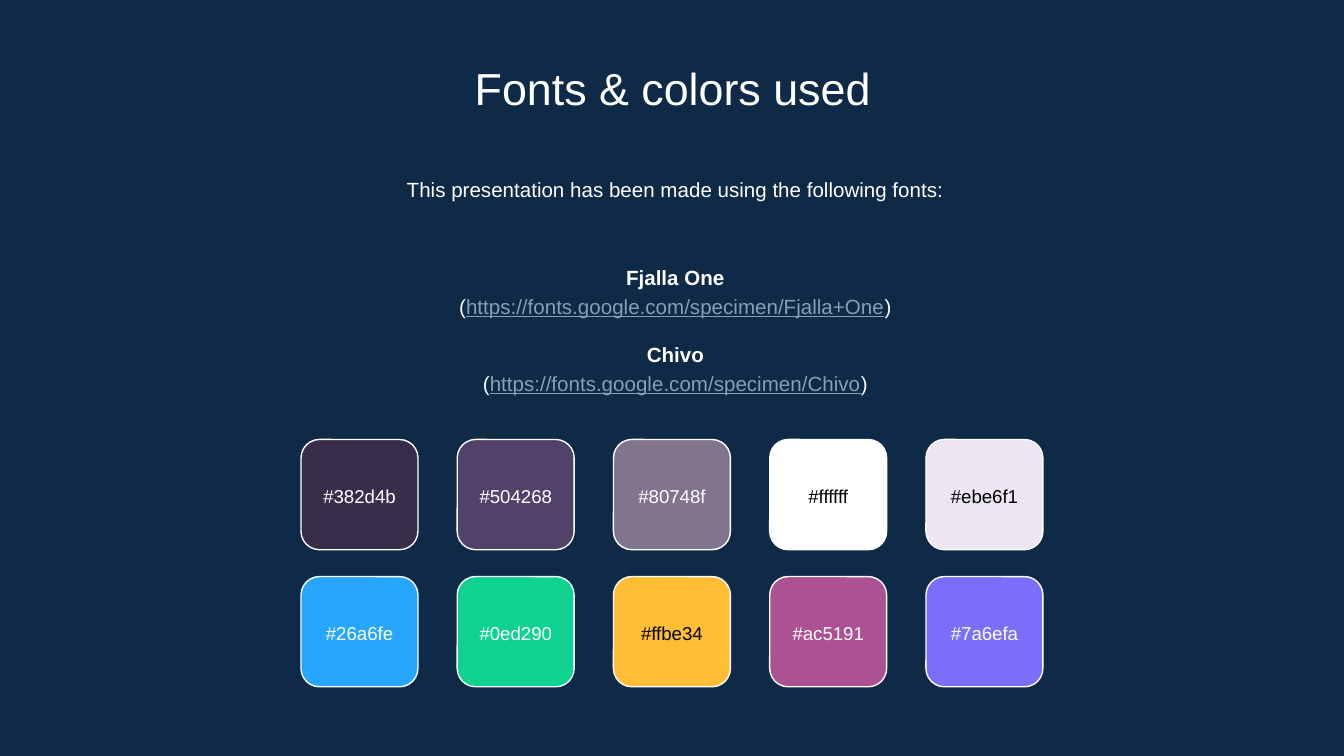
from pptx import Presentation
from pptx.dml.color import RGBColor
from pptx.enum import shapes, text
from pptx.util import Inches, Pt

FONT = "Arial"
BACKGROUND = "0E2A47"
WHITE = "FFFFFF"
BLACK = "000000"
LINK = "869FB2"

PALETTE = [
    [("382d4b", WHITE), ("504268", WHITE), ("80748f", WHITE), ("ffffff", BLACK), ("ebe6f1", BLACK)],
    [("26a6fe", WHITE), ("0ed290", WHITE), ("ffbe34", BLACK), ("ac5191", WHITE), ("7a6efa", WHITE)],
]
GRID_LEFT, GRID_RIGHT = 2.24, 7.76
GRID_TOP, ROW_PITCH = 3.27, 1.02
SWATCH_WIDTH, SWATCH_HEIGHT = 0.87, 0.82

FONTS_USED = [
    ("Fjalla One", "https://fonts.google.com/specimen/Fjalla+One"),
    ("Chivo", "https://fonts.google.com/specimen/Chivo"),
]


def paint(color_format, hex_code):
    color_format.rgb = RGBColor.from_string(hex_code.upper())


def set_frame(frame, anchor):
    frame.word_wrap = True
    frame.auto_size = text.MSO_AUTO_SIZE.NONE
    frame.vertical_anchor = anchor
    frame.margin_left = frame.margin_right = Inches(0.1)
    frame.margin_top = frame.margin_bottom = Inches(0.1)


def style_paragraph(paragraph, size, color=WHITE, bold=False, spacing=1.15):
    paragraph.alignment = text.PP_ALIGN.CENTER
    paragraph.line_spacing = spacing
    paragraph.font.name = FONT
    paragraph.font.size = Pt(size)
    paragraph.font.bold = bold
    paint(paragraph.font.color, color)


def add_title(slide, wording):
    title = slide.shapes.title
    title.left, title.top = Inches(1.15), Inches(0.35)
    title.width, title.height = Inches(7.71), Inches(0.53)
    set_frame(title.text_frame, text.MSO_ANCHOR.TOP)
    title.text_frame.text = wording
    style_paragraph(title.text_frame.paragraphs[0], 24, spacing=1.0)


def add_text_frame(slide, top, height, anchor):
    box = slide.shapes.add_textbox(Inches(1.17), Inches(top), Inches(7.71), Inches(height))
    set_frame(box.text_frame, anchor)
    return box.text_frame


def add_intro(slide, wording):
    frame = add_text_frame(slide, 1.19, 0.48, text.MSO_ANCHOR.TOP)
    frame.text = wording
    style_paragraph(frame.paragraphs[0], 11)


def add_font_list(slide):
    frame = add_text_frame(slide, 1.76, 1.37, text.MSO_ANCHOR.MIDDLE)
    for index, (font_name, address) in enumerate(FONTS_USED):
        heading = frame.add_paragraph() if index else frame.paragraphs[0]
        heading.text = font_name
        style_paragraph(heading, 11, bold=True)
        if index:
            heading.space_before = Pt(11)

        source = frame.add_paragraph()
        style_paragraph(source, 11)
        for part in ("(", address, ")"):
            run = source.add_run()
            run.text = part
            paint(run.font.color, LINK if part == address else WHITE)
            run.font.underline = part == address


def add_swatch(slide, left, top, fill, label_color):
    swatch = slide.shapes.add_shape(
        shapes.MSO_SHAPE.ROUNDED_RECTANGLE,
        Inches(left), Inches(top), Inches(SWATCH_WIDTH), Inches(SWATCH_HEIGHT),
    )
    swatch.adjustments[0] = 0.167
    swatch.shadow.inherit = False
    swatch.fill.solid()
    paint(swatch.fill.fore_color, fill)
    paint(swatch.line.color, WHITE)
    swatch.line.width = Pt(0.75)
    set_frame(swatch.text_frame, text.MSO_ANCHOR.MIDDLE)
    swatch.text_frame.text = f"#{fill}"
    style_paragraph(swatch.text_frame.paragraphs[0], 10, label_color)


def add_palette(slide):
    for row, swatches in enumerate(PALETTE):
        pitch = (GRID_RIGHT - GRID_LEFT - SWATCH_WIDTH) / (len(swatches) - 1)
        for column, (fill, label_color) in enumerate(swatches):
            add_swatch(slide, GRID_LEFT + column * pitch, GRID_TOP + row * ROW_PITCH, fill, label_color)


def main():
    deck = Presentation()
    deck.slide_width, deck.slide_height = Inches(10), Inches(10 * 9 / 16)
    slide = deck.slides.add_slide(deck.slide_layouts[5])
    slide.background.fill.solid()
    paint(slide.background.fill.fore_color, BACKGROUND)
    add_title(slide, "Fonts & colors used")
    add_intro(slide, "This presentation has been made using the following fonts:")
    add_font_list(slide)
    add_palette(slide)
    deck.save("out.pptx")


if __name__ == "__main__":
    main()
